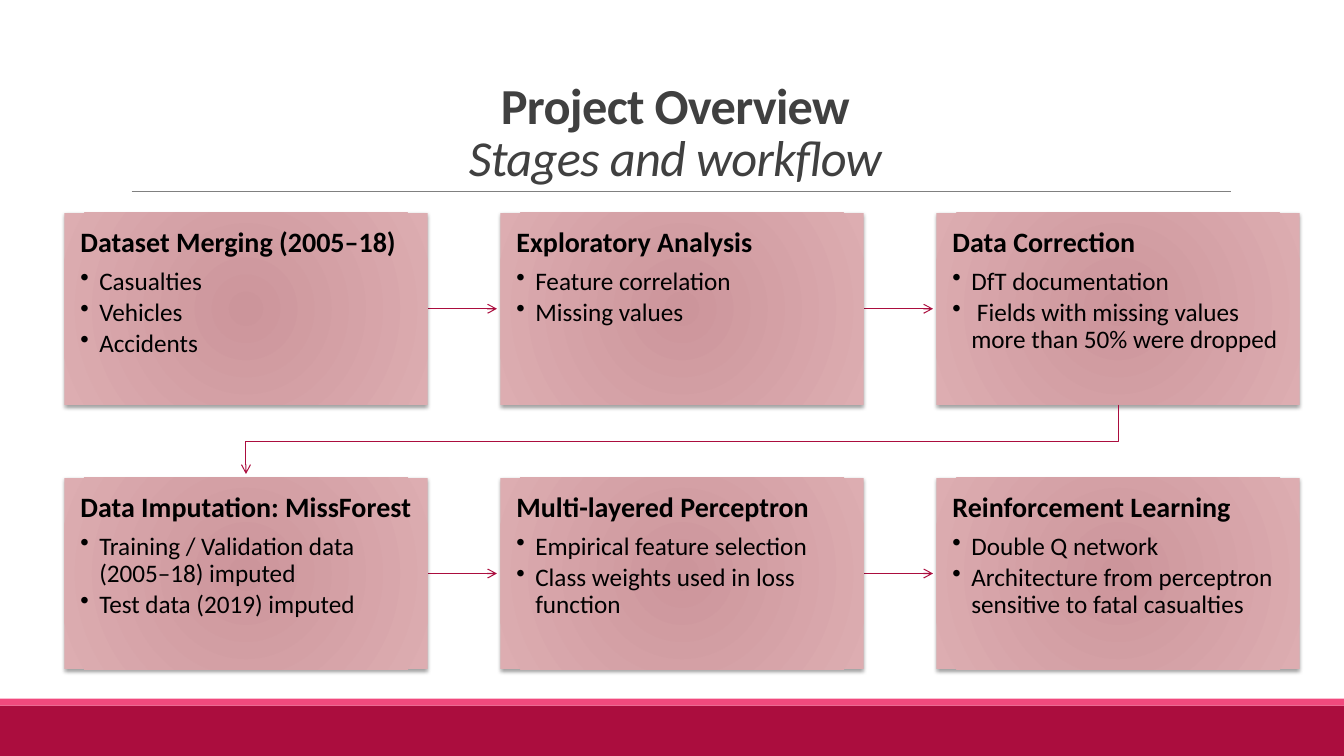
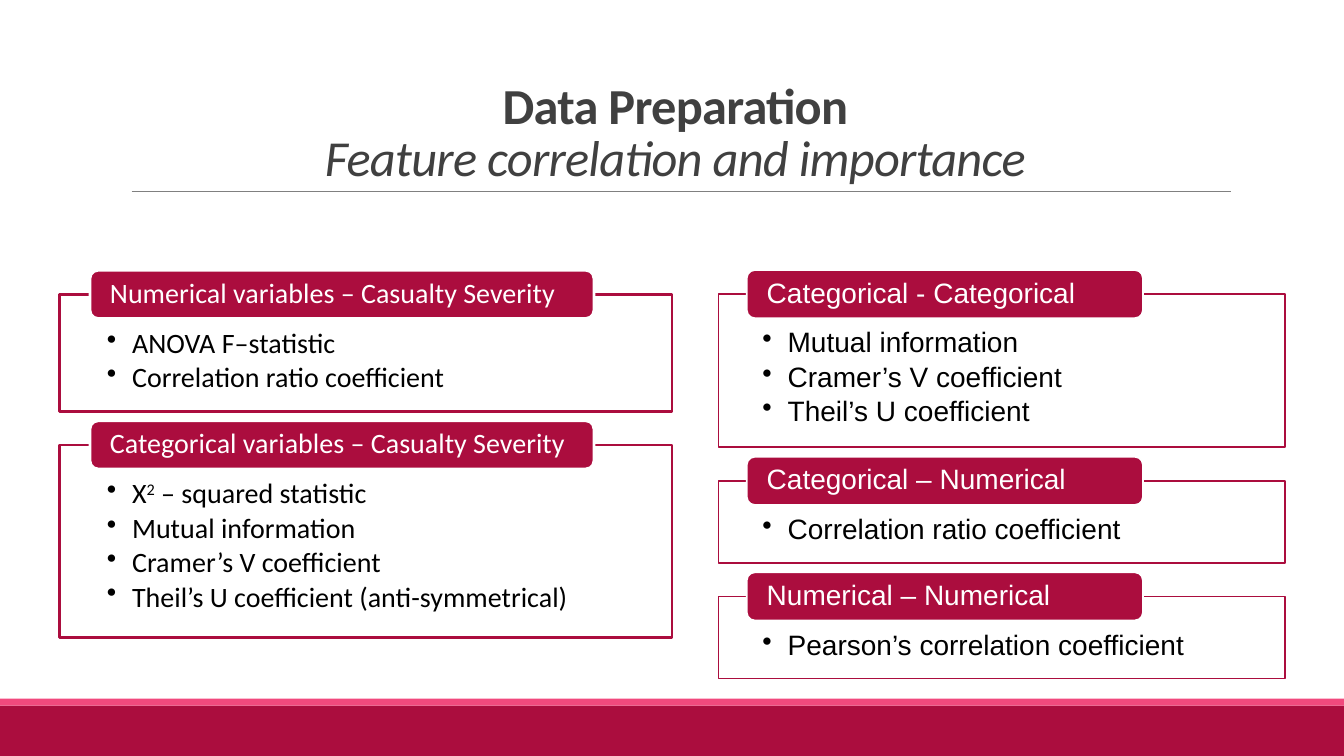
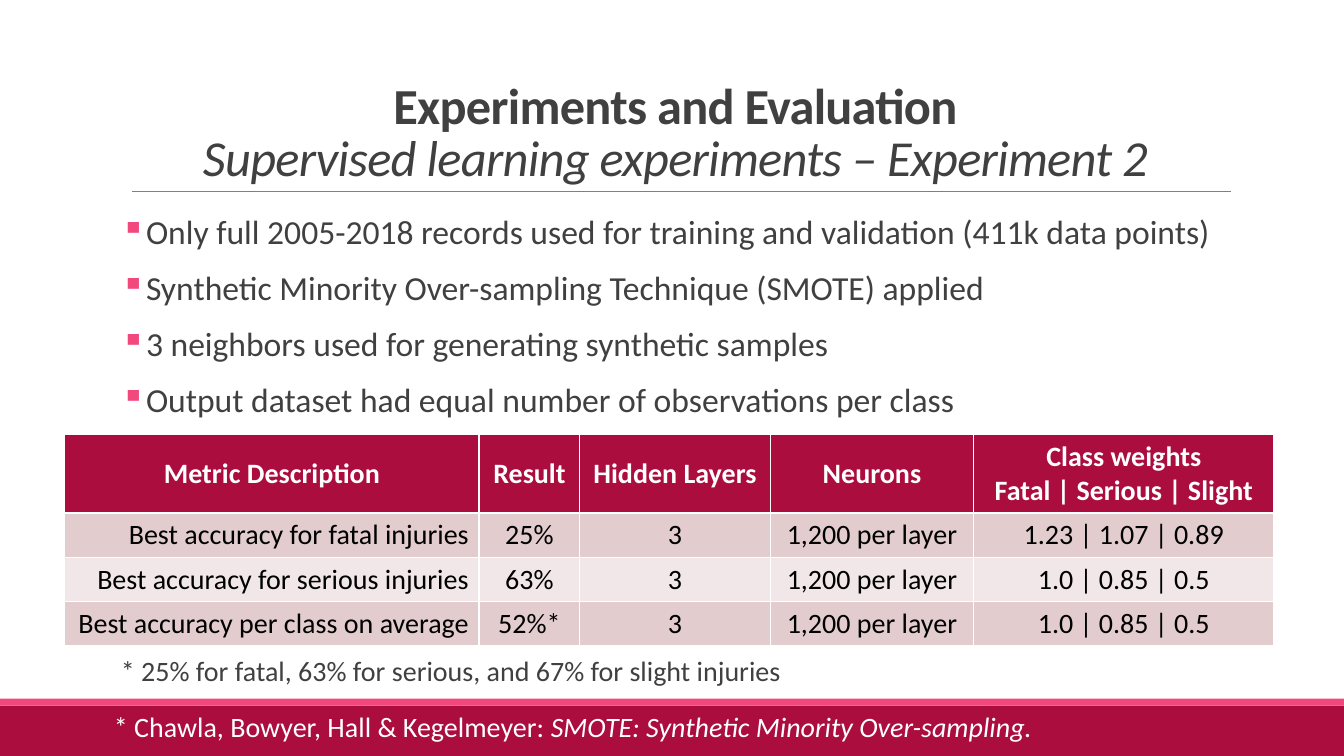
from lxml.etree import SubElement
from pptx import Presentation
from pptx.dml.color import RGBColor
from pptx.enum.shapes import MSO_CONNECTOR as LINK, MSO_SHAPE as SHAPE
from pptx.enum.text import MSO_ANCHOR as ANCHOR, PP_ALIGN as ALIGN
from pptx.oxml.ns import qn
from pptx.util import Pt

CRIMSON, PINK, WHITE, BLACK = "AB0D3E", "F1497D", "FFFFFF", "000000"
INK, GREY = "404040", "808080"
CARD_INNER, CARD_OUTER = "CC959B", "DDADB1"
BANDS = ("E2CCCE", "F1E7E8")
WIDTH, HEIGHT = 960, 540

STAGES = [
    ("Dataset Merging (2005–18)", ["Casualties", "Vehicles", "Accidents"]),
    ("Exploratory Analysis", ["Feature correlation", "Missing values"]),
    ("Data Correction", ["DfT documentation",
                         " Fields with missing values more than 50% were dropped"]),
    ("Data Imputation: MissForest", ["Training / Validation data (2005–18) imputed",
                                     "Test data (2019) imputed"]),
    ("Multi-layered Perceptron", ["Empirical feature selection",
                                  "Class weights used in loss function"]),
    ("Reinforcement Learning", ["Double Q network",
                                "Architecture from perceptron sensitive to fatal casualties"]),
]
SEVERITY_PANELS = [
    ("Numerical variables – Casualty Severity", 83.5,
     ["ANOVA F–statistic", "Correlation ratio coefficient"]),
    ("Categorical variables – Casualty Severity", 137.5,
     [[("X", {}), ("2", {"baseline": 30000}), (" – squared statistic", {})],
      "Mutual information", "Cramer’s V coefficient",
      "Theil’s U coefficient (anti-symmetrical)"]),
]
PAIR_PANELS = [
    ("Categorical - Categorical", 109.4,
     ["Mutual information", "Cramer’s V coefficient", "Theil’s U coefficient"]),
    ("Categorical – Numerical", 58.5, ["Correlation ratio coefficient"]),
    ("Numerical – Numerical", 58.5, ["Pearson’s correlation coefficient"]),
]
FINDINGS = [
    "Only full 2005-2018 records used for training and validation (411k data points)",
    "Synthetic Minority Over-sampling Technique (SMOTE) applied",
    "3 neighbors used for generating synthetic samples",
    "Output dataset had equal number of observations per class",
]
RESULTS = [
    ["Metric Description", "Result", "Hidden Layers", "Neurons",
     "Class weights\nFatal | Serious | Slight"],
    ["Best accuracy for fatal injuries", "25%", "3", "1,200 per layer", "1.23 | 1.07 | 0.89"],
    ["Best accuracy for serious injuries", "63%", "3", "1,200 per layer", "1.0 | 0.85 | 0.5"],
    ["Best accuracy per class on average", "52%*", "3", "1,200 per layer", "1.0 | 0.85 | 0.5"],
]


def rgb(code):
    """Turn a hex string into a colour."""
    return RGBColor.from_string(code)


def add_xml(parent, tag, **attributes):
    """Append a drawing element and return it."""
    return SubElement(parent, qn(tag), attributes)


def write(frame, text, size=20, color=BLACK, font="Calibri", bold=False, italic=False,
          align=ALIGN.LEFT, leading=0.9, before=0, after=0, bullet=None,
          bullet_color=BLACK, indent=0, spacing=None):
    """Add one paragraph made of a string or of (text, format) spans."""
    para = frame.add_paragraph() if frame.text else frame.paragraphs[0]
    para.alignment, para.line_spacing = align, leading
    para.space_before, para.space_after = Pt(before), Pt(after)
    if bullet:
        props = para._p.get_or_add_pPr()
        props.set("marL", str(Pt(indent)))
        props.set("indent", str(-Pt(indent)))
        add_xml(add_xml(props, "a:buClr"), "a:srgbClr", val=bullet_color)
        add_xml(props, "a:buChar", char=bullet)
    for words, extra in [(text, {})] if isinstance(text, str) else text:
        span = para.add_run()
        span.text = words.rstrip("\n")
        span.font.name, span.font.size = font, Pt(size)
        span.font.bold = extra.get("bold", bold)
        span.font.italic = extra.get("italic", italic)
        span.font.color.rgb = rgb(color)
        if spacing:
            span.font._element.set("spc", str(spacing))
        if "baseline" in extra:
            span.font._element.set("baseline", str(extra["baseline"]))
        if words.endswith("\n"):
            para.add_line_break()


def set_frame(shape, insets, anchor=ANCHOR.TOP):
    """Prepare the text frame of a shape and return it."""
    frame = shape.text_frame
    frame.word_wrap, frame.vertical_anchor = True, anchor
    (frame.margin_left, frame.margin_top,
     frame.margin_right, frame.margin_bottom) = map(Pt, insets)
    return frame


def add_text(page, box, insets=(0, 3.6, 0, 3.6), anchor=ANCHOR.TOP):
    """Add a text box and return its frame."""
    return set_frame(page.shapes.add_textbox(*map(Pt, box)), insets, anchor)


def add_block(page, box, fill, line=None, width=1, kind=SHAPE.RECTANGLE):
    """Add a flat filled shape."""
    block = page.shapes.add_shape(kind, *map(Pt, box))
    block.shadow.inherit = False
    block.fill.solid()
    block.fill.fore_color.rgb = rgb(fill)
    if line:
        block.line.color.rgb, block.line.width = rgb(line), Pt(width)
    else:
        block.line.fill.background()
    return block


def add_line(page, points, color=CRIMSON, width=0.75, arrow=False):
    """Draw a straight connector, or an open outline through more points."""
    points = [(Pt(x), Pt(y)) for x, y in points]
    if len(points) == 2:
        line = page.shapes.add_connector(LINK.STRAIGHT, *points[0], *points[1])
        add_xml(line.element.spPr, "a:effectLst")
    else:
        outline = page.shapes.build_freeform(*points[0], scale=1.0)
        outline.add_line_segments(points[1:], close=False)
        line = outline.convert_to_shape()
        line.fill.background()
        line.shadow.inherit = False
    line.line.color.rgb, line.line.width = rgb(color), Pt(width)
    if arrow:
        add_xml(line.element.spPr.find(qn("a:ln")), "a:tailEnd", type="arrow")


def start_page(deck, title, subtitle):
    """Add a slide with its footer bands, title and rule."""
    page = deck.slides.add_slide(deck.slide_layouts[6])
    add_block(page, (0, 504, WIDTH, 36), CRIMSON)
    add_block(page, (0, 499, WIDTH, 5), PINK)
    add_line(page, [(94, 136.6), (879, 136.6)], GREY, 0.5)
    frame = add_text(page, (86.4, 22.3, 792, 114.5), (7.2, 3.6, 7.2, 3.6), ANCHOR.BOTTOM)
    write(frame, [(title + "\n", {"bold": True}), (subtitle, {"italic": True})],
          size=36, color=INK, align=ALIGN.CENTER, leading=0.85, spacing=-50)
    return page


def add_card(page, box, heading, items):
    """Add a stage card with a radial fill, a soft shadow and a bullet list."""
    card = add_block(page, box, CARD_INNER)
    card.fill.gradient()
    for stop, color, place in zip(card.fill.gradient_stops, (CARD_INNER, CARD_OUTER), (0, 1)):
        stop.color.rgb, stop.position = rgb(color), place
    gradient = card.element.spPr.find(qn("a:gradFill"))
    gradient.remove(gradient.find(qn("a:lin")))
    circle = add_xml(gradient, "a:path", path="circle")
    add_xml(circle, "a:fillToRect", l="50000", t="50000", r="50000", b="50000")
    shadow = add_xml(card.element.spPr.find(qn("a:effectLst")), "a:outerShdw",
                     blurRad=str(Pt(3.1)), dist=str(Pt(1.6)), dir="5400000", rotWithShape="0")
    add_xml(add_xml(shadow, "a:srgbClr", val=BLACK), "a:alpha", val="38000")
    frame = set_frame(card, [11.4] * 4)
    write(frame, heading, bold=True, after=7)
    for item in items:
        write(frame, item, size=18, after=2.7, bullet="•", indent=13.5)


def add_workflow(page, box, columns=3, gap=52):
    """Lay the stage cards out in two rows and join them with arrows."""
    left, top, width, height = box
    card_width = (width - gap * (columns - 1)) / columns
    card_height = (height - gap) / 2
    reach = gap - 2.5
    for index, (heading, items) in enumerate(STAGES):
        row, column = divmod(index, columns)
        x, y = left + column * (card_width + gap), top + row * (card_height + gap)
        if column < columns - 1:
            edge, middle = x + card_width, y + card_height / 2
            add_line(page, [(edge, middle), (edge + reach, middle)], arrow=True)
        add_card(page, (x, y, card_width, card_height), heading, items)
    start, end = left + width - card_width / 2, left + card_width / 2
    bottom = top + card_height
    add_line(page, [(start, bottom), (start, bottom + gap / 2),
                    (end, bottom + gap / 2), (end, bottom + reach)], arrow=True)


def add_panels(page, corner, width, panels, tab_width, font, line, gap=24):
    """Stack outlined panels, each with a label tab over its top edge."""
    left, top = corner
    side = 0.0776 * width
    for label, height, items in panels:
        panel = add_block(page, (left, top, width, height), WHITE, CRIMSON, line)
        frame = set_frame(panel, (side, 24.6, side, 11.4))
        for item in items:
            write(frame, item, font=font, after=3, bullet="•", indent=18)
        tab = add_block(page, (left + 0.05 * width, top - 17.3, tab_width, 34.4),
                        CRIMSON, WHITE, line, SHAPE.ROUNDED_RECTANGLE)
        write(set_frame(tab, (12.6, 1.5, 11.5, 1.5), ANCHOR.MIDDLE), label,
              color=WHITE, font=font)
        top += height + gap


def add_results(page, corner, widths, header_height, row_height):
    """Add the table of results."""
    height = header_height + row_height * (len(RESULTS) - 1)
    table = page.shapes.add_table(len(RESULTS), len(widths),
                                  *map(Pt, (*corner, sum(widths), height))).table
    for column, width in zip(table.columns, widths):
        column.width = Pt(width)
    for r, values in enumerate(RESULTS):
        header = r == 0
        table.rows[r].height = Pt(header_height if header else row_height)
        for c, value in enumerate(values):
            cell = table.cell(r, c)
            cell.vertical_anchor = ANCHOR.MIDDLE
            cell.fill.solid()
            cell.fill.fore_color.rgb = rgb(CRIMSON if header else BANDS[(r - 1) % 2])
            for words in value.split("\n"):
                write(cell.text_frame, words, color=WHITE if header else BLACK, bold=header,
                      align=ALIGN.CENTER if header or c else ALIGN.RIGHT, leading=1.0)


def build_overview(deck):
    """Build the workflow slide."""
    page = start_page(deck, "Project Overview", "Stages and workflow")
    add_workflow(page, (46, 152, 882.4, 326.2))


def build_preparation(deck):
    """Build the slide of correlation measures."""
    page = start_page(deck, "Data Preparation", "Feature correlation and importance")
    add_panels(page, (42.4, 210.4), 437.6, SEVERITY_PANELS, 360, "Calibri", 2)
    add_panels(page, (513.2, 210.2), 404.7, PAIR_PANELS, 283, "Arial", 1.25)


def build_experiment(deck):
    """Build the slide of experiment results."""
    page = start_page(deck, "Experiments and Evaluation",
                      "Supervised learning experiments – Experiment 2")
    frame = add_text(page, (86.4, 150.5, 792, 134))
    for finding in FINDINGS:
        write(frame, finding, size=24, color=INK, before=12, after=2,
              bullet="▪", bullet_color=PINK, indent=13)
    add_results(page, (46.2, 310.5), (296, 72, 136, 145.4, 214.4), 56, 31.6)
    write(add_text(page, (86.4, 465.8, 792, 34)),
          "* 25% for fatal, 63% for serious, and 67% for slight injuries",
          color=INK, before=12, after=2)
    write(add_text(page, (81.4, 506.2, 869, 33.8)),
          [("* Chawla, Bowyer, Hall & Kegelmeyer: ", {}),
           ("SMOTE: Synthetic Minority Over-sampling.", {"italic": True})],
          color=WHITE, before=12, after=2)


def main():
    """Build and save the deck."""
    deck = Presentation()
    deck.slide_width, deck.slide_height = Pt(WIDTH), Pt(HEIGHT)
    build_overview(deck)
    build_preparation(deck)
    build_experiment(deck)
    deck.save("out.pptx")


if __name__ == "__main__":
    main()
